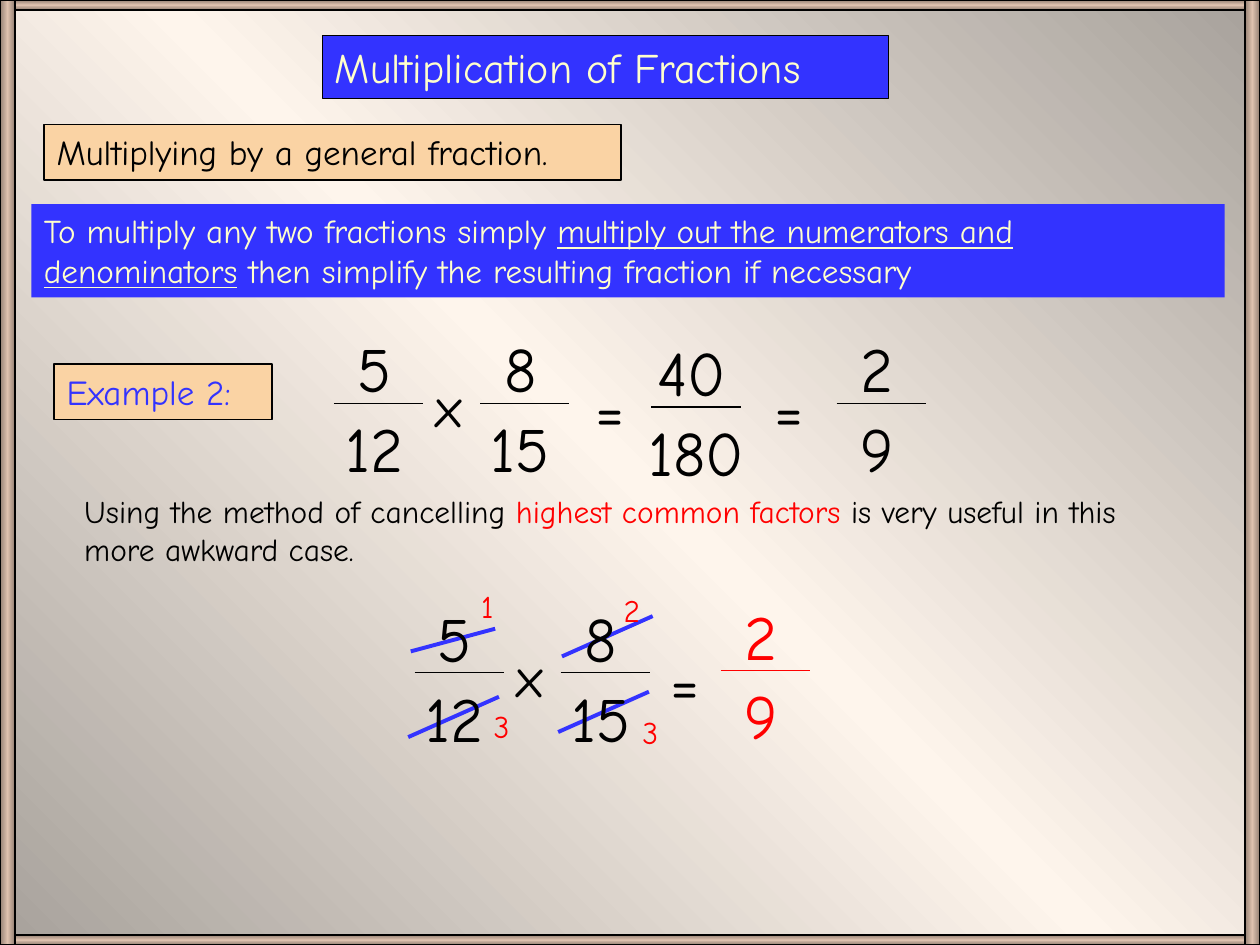
import copy

import pptx
import pptx.dml.color
import pptx.enum.shapes
import pptx.enum.text
import pptx.oxml
import pptx.oxml.ns
import pptx.util

Inches = pptx.util.Inches
Pt = pptx.util.Pt
RGBColor = pptx.dml.color.RGBColor
ALIGN = pptx.enum.text.PP_ALIGN

BLUE = RGBColor(0x33, 0x33, 0xFF)
CREAM = RGBColor(0xFF, 0xFF, 0xCC)
PEACH = RGBColor(0xFA, 0xD3, 0xA4)
BLACK = RGBColor(0, 0, 0)
RED = RGBColor(0xFF, 0, 0)
STONE = RGBColor(0xA7, 0xA1, 0x9B)
IVORY = RGBColor(0xFE, 0xF5, 0xEC)
BROWN = RGBColor(0x92, 0x7F, 0x72)
TAN = RGBColor(0xDE, 0xC1, 0xAE)


class Board:
    font = "Comic Neue"
    hairline = 0.75

    def __init__(self, slide):
        self.slide = slide

    def gradient(self, fill, owner, edge, middle, angle):
        fill.gradient()
        fill.gradient_angle = angle
        stops = next(owner.iter(pptx.oxml.ns.qn("a:gsLst")))
        stops.insert(1, copy.deepcopy(stops[0]))
        for stop, color, position in zip(fill.gradient_stops, (edge, middle, edge), (0, 0.5, 1)):
            stop.color.rgb = color
            stop.position = position

    def background(self, edge, middle, angle):
        self.gradient(self.slide.background.fill, self.slide.element, edge, middle, angle)

    def rectangle(self, left, top, width, height, outlined=True):
        kind = pptx.enum.shapes.MSO_SHAPE.RECTANGLE
        box = self.slide.shapes.add_shape(
            kind, Inches(left), Inches(top), Inches(width), Inches(height))
        box.shadow.inherit = False
        if outlined:
            box.line.color.rgb = BLACK
            box.line.width = Pt(self.hairline)
        else:
            box.line.fill.background()
        return box

    def frame_bar(self, left, top, width, height, angle):
        bar = self.rectangle(left, top, width, height)
        self.gradient(bar.fill, bar.element, BROWN, TAN, angle)

    def add_wording(self, box, runs, size, align):
        frame = box.text_frame
        frame.word_wrap = True
        frame.vertical_anchor = pptx.enum.text.MSO_ANCHOR.TOP
        paragraph = frame.paragraphs[0]
        paragraph.alignment = align
        for words, color, underlined in runs:
            run = paragraph.add_run()
            run.text = words
            run.font.name = self.font
            run.font.size = Pt(size)
            run.font.color.rgb = color
            run.font.underline = underlined

    def panel(self, left, top, width, height, fill, runs, size, outlined=True):
        box = self.rectangle(left, top, width, height, outlined)
        box.fill.solid()
        box.fill.fore_color.rgb = fill
        self.add_wording(box, runs, size, ALIGN.LEFT)

    def text(self, left, top, width, height, runs, size, align=ALIGN.LEFT):
        box = self.slide.shapes.add_textbox(
            Inches(left), Inches(top), Inches(width), Inches(height))
        self.add_wording(box, runs, size, align)

    def line(self, x1, y1, x2, y2, color, weight):
        kind = pptx.enum.shapes.MSO_CONNECTOR.STRAIGHT
        rule = self.slide.shapes.add_connector(
            kind, Inches(x1), Inches(y1), Inches(x2), Inches(y2))
        rule.line.color.rgb = color
        rule.line.width = Pt(weight)
        effects = pptx.oxml.ns.qn("a:effectLst")
        rule.element.spPr.append(rule.element.makeelement(effects, {}))

    def fraction(self, left, bar, numerator, denominator, color=BLACK, extra=0.0):
        self.text(left, bar - 0.63, 0.94, 0.7, [(numerator, color, False)], 36, ALIGN.CENTER)
        self.text(left - extra / 3, bar, 0.94 + extra, 0.7,
                  [(denominator, color, False)], 36, ALIGN.CENTER)
        self.line(left + 0.15, bar, left + 0.86, bar, color, self.hairline)

    def product(self, left, bar):
        self.fraction(left, bar, "5", "12")
        self.text(left + 0.86, bar - 0.3, 0.81, 0.64, [("x", BLACK, False)], 32)
        self.fraction(left + 1.16, bar, "8", "15")

    def equals(self, left, top, width=1.1, align=ALIGN.CENTER):
        self.text(left, top, width, 0.7, [("=", BLACK, False)], 36, align)

    def cancel(self, x1, y1, x2, y2, factor, left, top):
        self.line(x1, y1, x2, y2, BLUE, 2.25)
        self.text(left, top, 0.42, 0.4, [(factor, RED, False)], 18)


def main():
    deck = pptx.Presentation()
    deck.slide_width = Inches(10)
    deck.slide_height = Inches(7.5)
    board = Board(deck.slides.add_slide(deck.slide_layouts[6]))

    board.background(STONE, IVORY, 225)
    for top in (0, 7.42):
        board.frame_bar(0, top, 10, 0.08, 270)
    for left in (0, 9.88):
        board.frame_bar(left, 0, 0.12, 7.5, 180)

    board.panel(2.56, 0.28, 4.49, 0.5, BLUE, [("Multiplication of Fractions", CREAM, False)], 24)
    board.panel(0.35, 0.99, 4.58, 0.44, PEACH,
                [("Multiplying by a general fraction.", BLACK, False)], 20)
    rule = [
        ("To multiply any two fractions simply ", CREAM, False),
        ("multiply out the numerators and denominators", CREAM, True),
        (" then simplify the resulting fraction if necessary", CREAM, False),
    ]
    board.panel(0.25, 1.62, 9.47, 0.74, BLUE, rule, 19, outlined=False)

    board.panel(0.43, 2.89, 1.73, 0.44, PEACH, [("Example 2:", BLUE, False)], 20)
    board.product(2.5, 3.2)
    board.equals(4.29, 2.89)
    board.fraction(5.02, 3.23, "40", "180", extra=0.21)
    board.equals(5.71, 2.89)
    board.fraction(6.49, 3.2, "2", "9")

    advice = [
        ("Using the method of cancelling ", BLACK, False),
        ("highest common factors ", RED, False),
        ("is very useful in this more awkward case.", BLACK, False),
    ]
    board.text(0.57, 3.86, 8.51, 0.7, advice, 18)

    cancellations = [
        (3.26, 5.17, 3.93, 4.99, "1", 3.72, 4.61),
        (4.43, 5.81, 5.15, 5.49, "3", 5, 5.61),
        (3.24, 5.85, 3.96, 5.53, "3", 3.82, 5.56),
        (4.46, 5.21, 5.18, 4.89, "2", 4.85, 4.64),
    ]
    for cancellation in cancellations:
        board.cancel(*cancellation)
    board.product(3.14, 5.34)
    board.equals(5.22, 5.06, 0.83, ALIGN.LEFT)
    board.fraction(5.57, 5.32, "2", "9", RED)

    deck.save("out.pptx")


if __name__ == "__main__":
    main()
